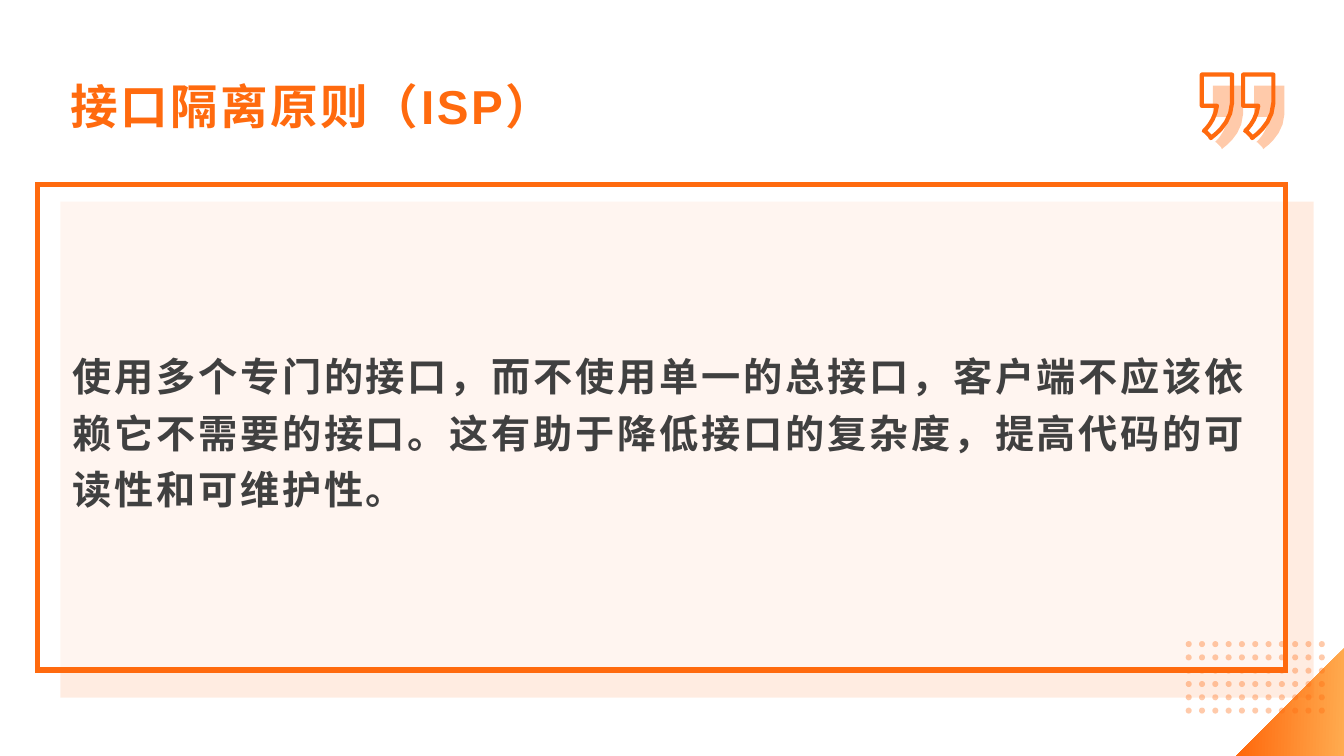
from lxml import etree
from pptx import Presentation
from pptx import util as u
from pptx.dml.color import RGBColor
from pptx.enum import shapes, text
from pptx.oxml.ns import qn

ORANGE = RGBColor(0xFF, 0x6A, 0x0E)
AMBER = RGBColor(0xFF, 0xAB, 0x4F)
WHITE = RGBColor(0xFF, 0xFF, 0xFF)
GRAY = RGBColor(0x40, 0x40, 0x40)

TITLE = "接口隔离原则（ISP）"
BODY = "使用多个专门的接口，而不使用单一的总接口，客户端不应该依赖它不需要的接口。这有助于降低接口的复杂度，提高代码的可读性和可维护性。"


def paint(shape, fill=None, opacity=100, line=None, width=0):
    """Set fill, opacity in percent and outline of a shape."""
    shape.shadow.inherit = False
    if fill is None:
        shape.fill.background()
    else:
        shape.fill.solid()
        shape.fill.fore_color.rgb = fill
        color = shape.fill._xPr.find(qn("a:solidFill"))[0]
        etree.SubElement(color, qn("a:alpha"), val=str(opacity * 1000))
    if line is None:
        shape.line.fill.background()
    else:
        shape.line.color.rgb = line
        shape.line.width = u.Pt(width)


def add_outline(slide, contours):
    """Add one freeform made of closed contours given in inches."""
    contours = [[(u.Inches(x), u.Inches(y)) for x, y in points] for points in contours]
    builder = slide.shapes.build_freeform(*contours[0][0])
    for index, points in enumerate(contours):
        if index:
            builder.move_to(*points[0])
        builder.add_line_segments(points[1:], close=True)
    return builder.convert_to_shape()


def curve(points, steps=6):
    """Return points along a cubic Bezier curve."""
    def at(t):
        weights = ((1 - t) ** 3, 3 * t * (1 - t) ** 2, 3 * t * t * (1 - t), t ** 3)
        return tuple(sum(w * p[axis] for w, p in zip(weights, points)) for axis in (0, 1))
    return [at(step / steps) for step in range(steps + 1)]


def add_corner(slide, left, top, size):
    """Fill the lower right corner with a gradient triangle."""
    right, bottom = left + size, top + size
    corner = add_outline(slide, [[(right, top), (right, bottom), (left, bottom)]])
    paint(corner)
    corner.fill.gradient()
    corner.fill.gradient_angle = 178
    for stop, color, position in zip(corner.fill.gradient_stops, (AMBER, ORANGE), (0, 0.94)):
        stop.color.rgb = color
        stop.position = position


def add_panel(slide, left, top, width, height):
    """Add the outlined panel over its tinted offset backing."""
    rectangle = shapes.MSO_SHAPE.RECTANGLE
    backing = slide.shapes.add_shape(
        rectangle, u.Inches(left + 0.23), u.Inches(top + 0.17),
        u.Inches(width + 0.05), u.Inches(height + 0.1))
    paint(backing, ORANGE, 12)
    frame = slide.shapes.add_shape(
        rectangle, u.Inches(left), u.Inches(top), u.Inches(width), u.Inches(height))
    paint(frame, WHITE, 51, ORANGE, 4)
    etree.SubElement(frame.line._get_or_add_ln(), qn("a:miter"), lim="800000")


def add_dots(slide, left, top, width, height, columns=11, rows=6, diameter=0.06):
    """Spread a grid of round dots over a box, each made of four quarter arcs."""
    radius = diameter / 2
    step_x = (width - diameter) / (columns - 1)
    step_y = (height - diameter) / (rows - 1)
    corners = ((1, 0), (0, 1), (-1, 0), (0, -1), (1, 0))
    contours = [[(left + radius + column * step_x + radius * x,
                  top + radius + row * step_y + radius * y) for x, y in corners]
                for row in range(rows) for column in range(columns)]
    dots = add_outline(slide, contours)
    paint(dots, ORANGE, 35)
    reach, quarter = str(u.Inches(radius)), 5400000
    for index, side in enumerate(list(dots._element.iter(qn("a:lnTo")))):
        arc = etree.Element(qn("a:arcTo"), wR=reach, hR=reach,
                            stAng=str(index % 4 * quarter), swAng=str(quarter))
        side.getparent().replace(side, arc)


def add_quotes(slide, left, top, gap=0.41, offset=0.11):
    """Draw a pair of outlined quotation marks over tinted ones."""
    mark = [(0, 0), (0.3, 0),
            *curve([(0.3, 0.28), (0.29, 0.51), (0.09, 0.62), (0.09, 0.63)]),
            (0.08, 0.61), (0.03, 0.56),
            *curve([(0.02, 0.56), (0.02, 0.56), (0.13, 0.47), (0.15, 0.31)]),
            (0, 0.31)]
    layers = ((offset, {"fill": ORANGE, "opacity": 35}), (0, {"line": ORANGE, "width": 3}))
    for shift, style in layers:
        for start in (left + gap, left):
            points = [(start + shift + x, top + shift + y) for x, y in mark]
            paint(add_outline(slide, [points]), **style)


def write(shape, box, content, size, color, spacing, anchor, formats):
    """Place a text shape in a box and format its single paragraph."""
    shape.left, shape.top, shape.width, shape.height = map(u.Inches, box)
    frame = shape.text_frame
    frame.text = content
    frame.word_wrap = True
    frame.auto_size = text.MSO_AUTO_SIZE.NONE
    frame.vertical_anchor = anchor
    paragraph = frame.paragraphs[0]
    paragraph.alignment = text.PP_ALIGN.LEFT
    for name, value in formats.items():
        setattr(paragraph, name, value)
    font = paragraph.runs[0].font
    for name, value in {"name": "Arial", "size": u.Pt(size), "bold": True}.items():
        setattr(font, name, value)
    font.color.rgb = color
    font._element.set("spc", str(round(spacing * 100)))


def build_slide(presentation):
    """Build the principle slide."""
    slide = presentation.slides.add_slide(presentation.slide_layouts[5])
    add_corner(slide, 12.26, 6.43, 1.07)
    add_panel(slide, 0.37, 1.83, 12.38, 4.82)
    add_dots(slide, 11.76, 6.36, 1.38, 0.72)
    add_quotes(slide, 11.92, 0.74)
    body = slide.shapes.add_textbox(0, 0, 0, 0)
    write(body, (0.62, 2.27, 11.87, 3.95), BODY, 28, GRAY, 2, text.MSO_ANCHOR.MIDDLE,
          {"line_spacing": 1.2, "space_after": u.Pt(8)})
    write(slide.shapes.title, (0.6, 0.71, 10.92, 0.69), TITLE, 34, ORANGE, 1.8,
          text.MSO_ANCHOR.TOP, {"line_spacing": 1.0, "space_before": u.Pt(0)})


def main():
    """Create and save the presentation."""
    presentation = Presentation()
    presentation.slide_width = u.Inches(13.33)
    presentation.slide_height = u.Inches(7.5)
    build_slide(presentation)
    presentation.save("out.pptx")


if __name__ == "__main__":
    main()
